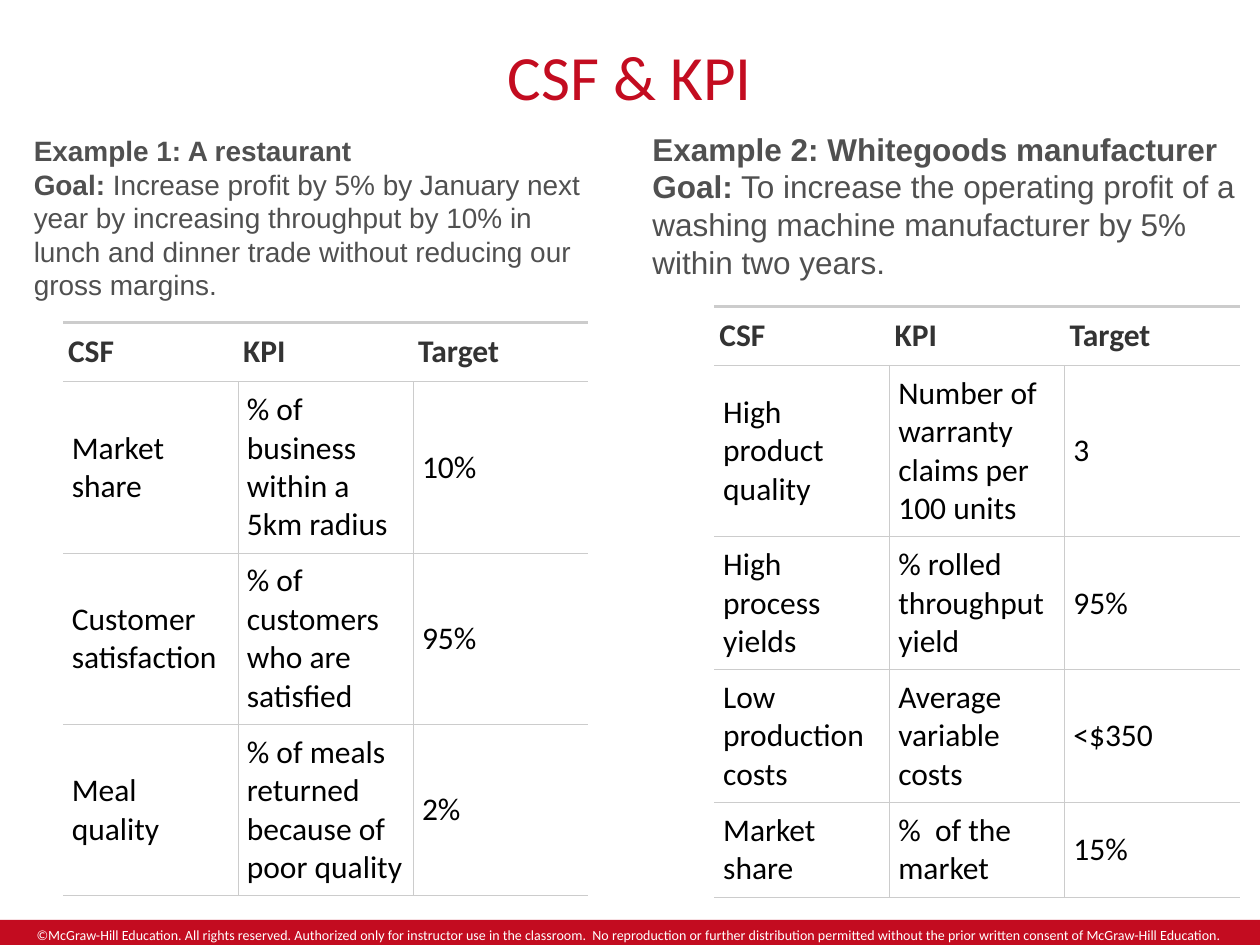
from lxml import etree
from pptx import Presentation
from pptx.dml.color import RGBColor
from pptx.enum.shapes import MSO_SHAPE
from pptx.enum.text import MSO_ANCHOR, PP_ALIGN
from pptx.oxml.ns import qn
from pptx.util import Inches, Pt

RECT = MSO_SHAPE.RECTANGLE
MIDDLE = MSO_ANCHOR.MIDDLE
CENTER = PP_ALIGN.CENTER
RED = RGBColor(0xC3, 0x0C, 0x20)
WHITE = RGBColor(0xFF, 0xFF, 0xFF)
BLACK = RGBColor(0, 0, 0)
DARK = RGBColor(0x33, 0x33, 0x33)
GRAY = RGBColor(0x50, 0x50, 0x50)
RULE = RGBColor(0xCC, 0xCC, 0xCC)
WIDE, HIGH = Inches(10), Inches(7.5)
COL, ROW = WIDE // 100, HIGH // 75
THIN, THICK = Pt(0.6), Pt(1.8)

HEAD = ("CSF", "KPI", "Target")
FOOD = (
    HEAD,
    ("Market share", "% of business within a 5km radius", "10%"),
    ("Customer satisfaction", "% of customers who are satisfied", "95%"),
    ("Meal quality", "% of meals returned because of poor quality", "2%"),
)
GOODS = (
    HEAD,
    ("High product quality", "Number of warranty claims per 100 units", "3"),
    ("High process yields", "% rolled throughput yield", "95%"),
    ("Low production costs", "Average variable costs", "<$350"),
    ("Market share", "%  of the market", "15%"),
)
FOOD_GOAL = (
    " Increase profit by 5% by January next year by increasing throughput "
    "by 10% in lunch and dinner trade without reducing our gross margins."
)
GOODS_GOAL = (
    " To increase the operating profit of a washing machine manufacturer "
    "by 5% within two years."
)
NOTICE = (
    "©McGraw-Hill Education. All rights reserved. Authorized only for instructor "
    "use in the classroom.  No reproduction or further distribution permitted "
    "without the prior written consent of McGraw-Hill Education."
)


def place(box):
    """Turn a box in grid columns and rows into slide lengths."""
    left, top, width, height = box
    return int(left * COL), int(top * ROW), int(width * COL), int(height * ROW)


def style(font, size, color, name="Calibri", bold=False):
    """Set the look of a font."""
    font.size, font.name, font.bold = Pt(size), name, bold
    font.color.rgb = color


def add_title(slide, box, text):
    """Fill and move the title placeholder."""
    title = slide.shapes.title
    title.left, title.top, title.width, title.height = place(box)
    frame = title.text_frame
    frame.text = text
    frame.vertical_anchor = MIDDLE
    para = frame.paragraphs[0]
    para.alignment = CENTER
    style(para.runs[0].font, 36, RED)


def add_footer(slide, box):
    """Draw the red band with the rights notice."""
    band = slide.shapes.add_shape(RECT, *place(box))
    band.shadow.inherit = False
    band.fill.solid()
    band.fill.fore_color.rgb = RED
    band.line.fill.background()
    frame = band.text_frame
    frame.text = NOTICE
    frame.vertical_anchor = MIDDLE
    para = frame.paragraphs[0]
    para.alignment = CENTER
    style(para.runs[0].font, 8, WHITE)


def add_goal(slide, box, size, head, goal):
    """Write an example heading with its goal below."""
    frame = slide.shapes.add_textbox(*place(box)).text_frame
    frame.word_wrap = True
    frame.text = head
    first, para = frame.paragraphs[0], frame.add_paragraph()
    style(first.runs[0].font, size, GRAY, "Arial", True)
    for text, bold in (("Goal:", True), (goal, False)):
        run = para.add_run()
        run.text = text
        style(run.font, size, GRAY, "Arial", bold)
    for item in (first, para):
        item.line_spacing = Pt(size * 1.2)


def add_edge(cell, side, width):
    """Draw one cell border, or none when the width is zero."""
    props = cell._tc.get_or_add_tcPr()
    line = etree.SubElement(props, qn("a:ln" + side), w=str(int(width)))
    if not width:
        etree.SubElement(line, qn("a:noFill"))
        return
    fill = etree.SubElement(line, qn("a:solidFill"))
    etree.SubElement(fill, qn("a:srgbClr"), val=str(RULE))


def set_cell(cell, text, row, col, last):
    """Fill one cell and rule it by its place in the table."""
    head = row == 0
    add_edge(cell, "L", 0 if head or col == 0 else THIN)
    add_edge(cell, "R", 0 if head or col == last else THIN)
    add_edge(cell, "T", THICK if head else THIN)
    add_edge(cell, "B", THIN)
    if head:
        cell.fill.solid()
        cell.fill.fore_color.rgb = WHITE
    else:
        cell.fill.background()
    cell.margin_left = cell.margin_right = Inches(0.04 if head else 0.07)
    cell.margin_top = cell.margin_bottom = Inches(0.08 if head else 0.07)
    cell.vertical_anchor = MIDDLE
    cell.text = text
    font = cell.text_frame.paragraphs[0].runs[0].font
    style(font, 18, DARK if head else BLACK, bold=head)


def add_grid(slide, spot, rows, tall):
    """Build a table of factors, measures and targets."""
    count = len(HEAD)
    box = place((*spot, 41.7, sum(tall)))
    table = slide.shapes.add_table(len(rows), count, *box).table
    table.first_row = table.horz_banding = False
    for col in table.columns:
        col.width = box[2] // count
    for r, (texts, height) in enumerate(zip(rows, tall)):
        table.rows[r].height = int(height * ROW)
        for c, text in enumerate(texts):
            set_cell(table.cell(r, c), text, r, c, count - 1)


def main():
    """Build and save the slide."""
    deck = Presentation()
    deck.slide_width, deck.slide_height = WIDE, HIGH
    slide = deck.slides.add_slide(deck.slide_layouts[5])
    add_footer(slide, (0, 73, 100, 2.4))
    add_title(slide, (0, 2.5, 100, 7), "CSF & KPI")
    add_grid(slide, (5, 25.6), FOOD, (4.7, 13.6, 13.6, 13.6))
    add_grid(slide, (56.7, 24.3), GOODS, (4.7, 13.6, 10.5, 10.5, 7.4))
    add_goal(slide, (1.7, 10.1, 47.3, 14.5), 16, "Example 1: A restaurant", FOOD_GOAL)
    add_goal(
        slide, (50.8, 9.8, 50, 13.1), 18, "Example 2: Whitegoods manufacturer", GOODS_GOAL
    )
    deck.save("out.pptx")


if __name__ == "__main__":
    main()
